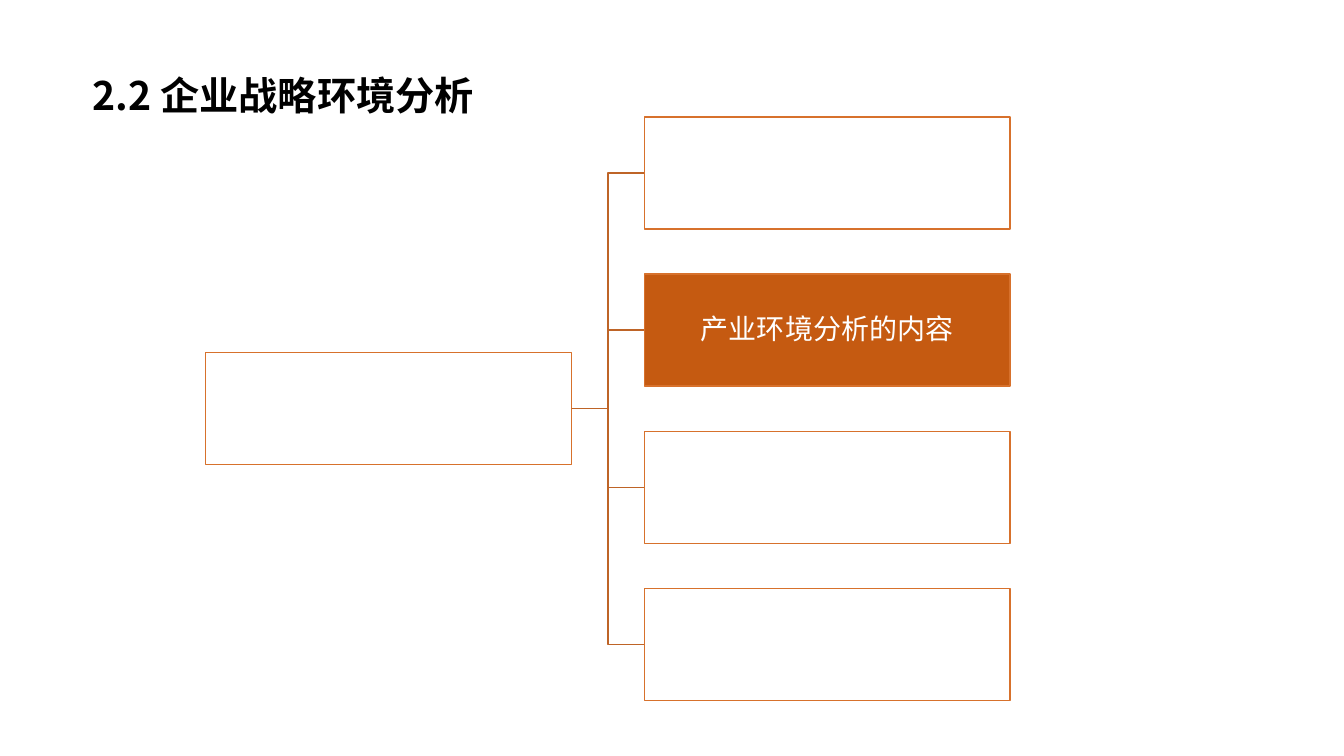
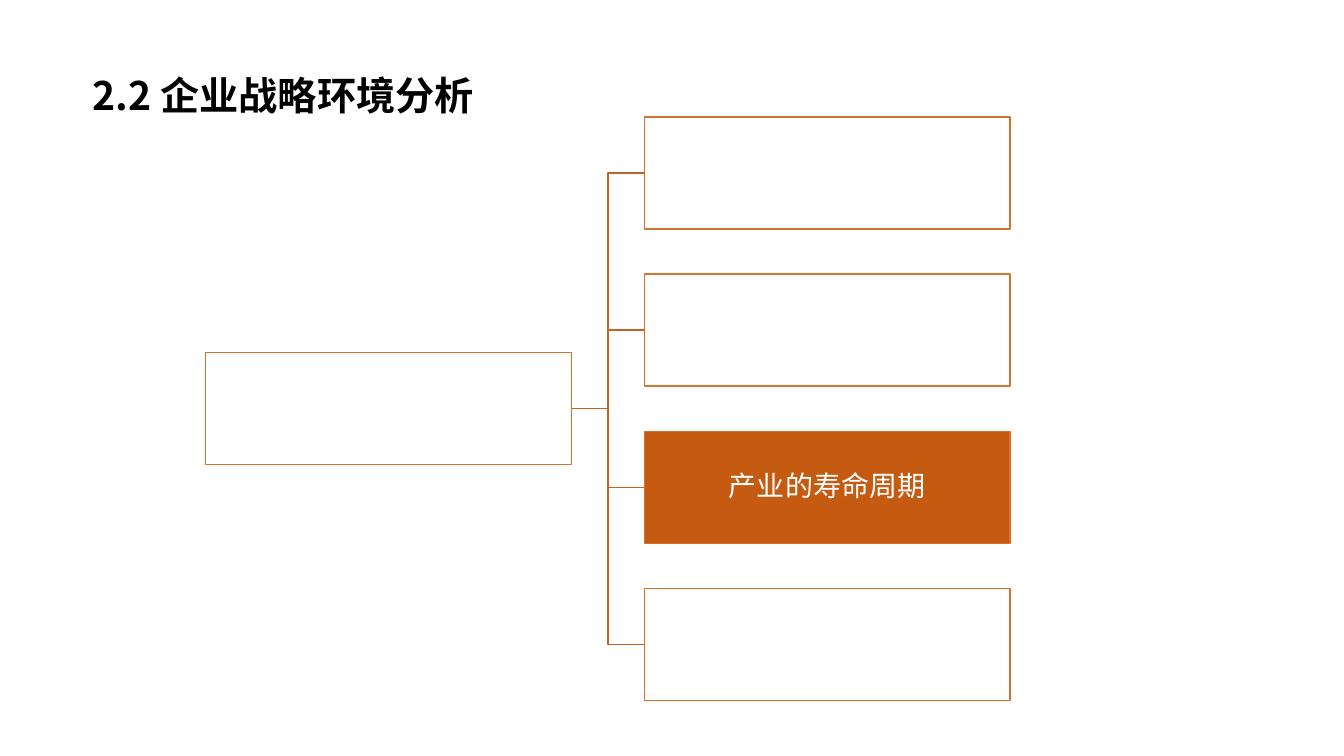
from dataclasses import dataclass

import lxml.etree
import pptx
import pptx.dml.color
import pptx.enum.shapes
import pptx.enum.text
import pptx.oxml.ns
import pptx.util

Pt = pptx.util.Pt
Align = pptx.enum.text.PP_ALIGN
Anchor = pptx.enum.text.MSO_ANCHOR

# Shared style
FONT = "Noto Sans CJK SC"
BLACK, WHITE = "000000", "FFFFFF"
ACCENT, BORDER, BRANCH = "C55A11", "D7712C", "BE6427"
TITLE = "2.2 企业战略环境分析"

# Tree geometry in points
BOX_WIDTH, BOX_HEIGHT = 261.3, 80
ROOT_LEFT, LEAF_LEFT = 147, 460.2
LEAF_TOP, LEAF_STEP, LEAF_COUNT = 83.5, 112.3, 4
ROOT_TOP = LEAF_TOP + LEAF_STEP * (LEAF_COUNT - 1) / 2


@dataclass(frozen=True)
class Topic:
    leaf: int
    text: str


TOPICS = [Topic(1, "产业环境分析的内容"), Topic(2, "产业的寿命周期")]


def color(value: str) -> pptx.dml.color.RGBColor:
    return pptx.dml.color.RGBColor.from_string(value)


def write(shape, text: str, *, size: float, fill: str, bold: bool = False,
          align=Align.LEFT, anchor=Anchor.TOP, line_spacing: float = 1.0,
          inset_x: float = 0.7, inset_y: float = 0.7) -> None:
    frame = shape.text_frame
    frame.word_wrap = True
    frame.vertical_anchor = anchor
    frame.margin_left = frame.margin_right = Pt(inset_x)
    frame.margin_top = frame.margin_bottom = Pt(inset_y)
    para = frame.paragraphs[0]
    para.alignment = align
    para.line_spacing = line_spacing
    span = para.add_run()
    span.text = text
    span.font.size = Pt(size)
    span.font.bold = bold
    span.font.color.rgb = color(fill)
    span.font.name = FONT
    # East Asian typeface
    lxml.etree.SubElement(span.font._element, pptx.oxml.ns.qn("a:ea"), typeface=FONT)


def add_title(page) -> None:
    box = page.shapes.add_textbox(Pt(57.6), Pt(46.8), Pt(694.8), Pt(42.5))
    write(box, TITLE, size=28, fill=BLACK, bold=True, inset_x=8.64, inset_y=4.32)
    box.text_frame.auto_size = pptx.enum.text.MSO_AUTO_SIZE.SHAPE_TO_FIT_TEXT


def add_box(page, left: float, top: float, fill: str = WHITE):
    box = page.shapes.add_shape(pptx.enum.shapes.MSO_SHAPE.RECTANGLE,
                                Pt(left), Pt(top), Pt(BOX_WIDTH), Pt(BOX_HEIGHT))
    box.shadow.inherit = False
    box.fill.solid()
    box.fill.fore_color.rgb = color(fill)
    box.line.color.rgb = color(BORDER)
    box.line.width = Pt(1)
    return box


def add_branch(page, root, leaf) -> None:
    branch = page.shapes.add_connector(pptx.enum.shapes.MSO_CONNECTOR.ELBOW, 0, 0, 0, 0)
    branch.begin_connect(root, 3)
    branch.end_connect(leaf, 1)
    branch.line.color.rgb = color(BRANCH)
    branch.line.width = Pt(1)
    lxml.etree.SubElement(branch._element.spPr, pptx.oxml.ns.qn("a:effectLst"))


def add_tree(page, topic: Topic) -> None:
    root = add_box(page, ROOT_LEFT, ROOT_TOP)
    for index in range(LEAF_COUNT):
        active = index == topic.leaf
        leaf = add_box(page, LEAF_LEFT, LEAF_TOP + index * LEAF_STEP,
                       ACCENT if active else WHITE)
        add_branch(page, root, leaf)
        if active:
            write(leaf, topic.text, size=20, fill=WHITE, align=Align.CENTER,
                  anchor=Anchor.MIDDLE, line_spacing=0.9)


def main() -> None:
    deck = pptx.Presentation()
    deck.slide_width, deck.slide_height = Pt(960), Pt(540)
    for topic in TOPICS:
        page = deck.slides.add_slide(deck.slide_layouts[6])
        add_tree(page, topic)
        add_title(page)
    deck.save("out.pptx")


if __name__ == "__main__":
    main()
